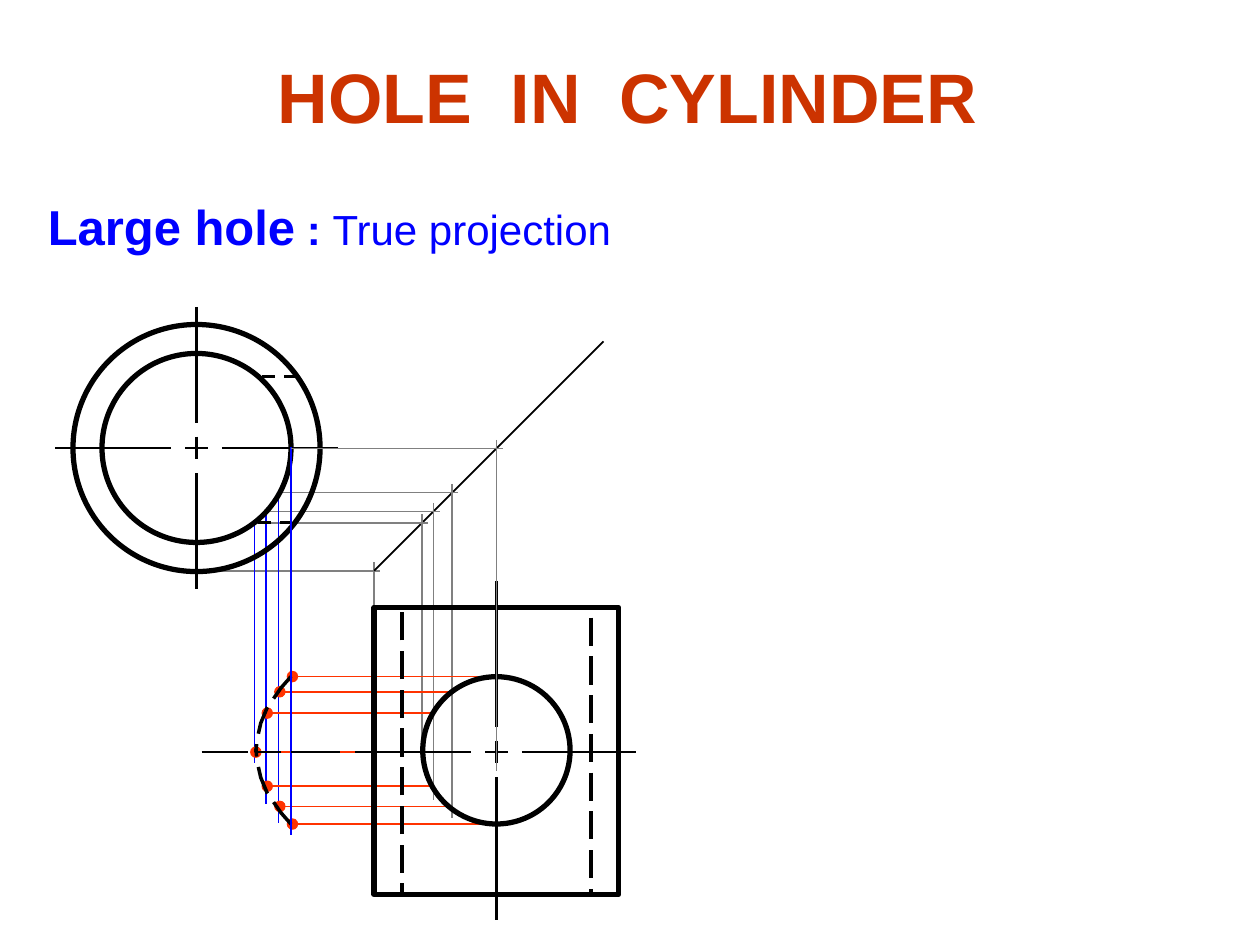
from lxml import etree
from pptx import Presentation
from pptx import util as u
from pptx.dml.color import RGBColor
from pptx.enum import dml, shapes, text
from pptx.oxml.ns import qn

Pt = u.Pt
COLORS = {"title": "CC3300", "note": "0000FF", "outline": "000000",
          "transfer": "808080", "drop": "0000FF", "level": "FF3300"}

TOP_X, TOP_Y = 112.3, 256
FRONT_X, FRONT_Y = 283.7, 428.8
AXIS_Y = 429.8
MITER_SUM = 540  # x + y along the 45 degree miter line

# x on the bore, y in the top view, drop start and end, transfer end, levels on the hole
POINTS = [
    (145.4, 298.8, 298.1, 436.3, 429.8, (429.8,)),
    (151.9, 292.3, 291.6, 459.4, 457.2, (407.5, 449.3)),
    (159.1, 281.5, 281.5, 470.2, 467.3, (395.3, 460.8)),
    (166.3, 256.3, 255.6, 477.4, 440.6, (386.6, 470.9)),
]
CURVE = [(166.3, 386.6), (160.6, 393.1), (152.6, 404.6),
         (149, 413.3), (146.9, 422.6), (146.2, 429.8)]


def rgb(name):
    return RGBColor.from_string(COLORS[name])


def style_line(line, color, width, dash=None):
    line.color.rgb = rgb(color)
    line.width = Pt(width)
    if dash:
        line.dash_style = dash


def add_line(slide, start, end, color="outline", width=1.5, dash=None):
    connector = slide.shapes.add_connector(
        shapes.MSO_CONNECTOR.STRAIGHT, *(Pt(v) for v in (*start, *end)))
    style_line(connector.line, color, width, dash)
    etree.SubElement(connector._element.spPr, qn("a:effectLst"))


def add_outline(slide, kind, box, width=3, dash=None):
    outline = slide.shapes.add_shape(kind, *(Pt(v) for v in box))
    outline.shadow.inherit = False
    outline.fill.background()
    style_line(outline.line, "outline", width, dash)
    return outline


def add_circle(slide, x, y, radius):
    return add_outline(slide, shapes.MSO_SHAPE.OVAL,
                       (x - radius, y - radius, 2 * radius, 2 * radius))


def add_dot(slide, x, y):
    dot = add_circle(slide, x, y, 2.9)
    dot.fill.solid()
    dot.fill.fore_color.rgb = rgb("level")
    style_line(dot.line, "level", 0.75)


def add_curve(slide, knots):
    start, *rest = [(Pt(x), Pt(y)) for x, y in knots]
    builder = slide.shapes.build_freeform(*start)
    builder.add_line_segments(rest, close=False)
    curve = builder.convert_to_shape()
    curve.shadow.inherit = False
    curve.fill.background()
    style_line(curve.line, "outline", 2, dml.MSO_LINE.LONG_DASH)


def add_run(paragraph, content, size, color, bold=True):
    run = paragraph.add_run()
    run.text = content
    run.font.name = "Arial"
    run.font.size = Pt(size)
    run.font.bold = bold
    run.font.color.rgb = rgb(color)


def add_center_mark(slide, x, y, left, right, up, down):
    """Crossed centre lines, each with a short middle dash."""
    for first, last in ((-left, -14.5), (-6.5, 6.5), (14.5, right)):
        add_line(slide, (x + first, y), (x + last, y))
    for first, last in ((-up, -14.5), (-6.5, 6.5), (14.5, down)):
        add_line(slide, (x, y + first), (x, y + last))


def add_transfer(slide, start_x, y, bottom):
    """Carry a level from the top view over the miter line to the front view."""
    x = MITER_SUM - y
    add_line(slide, (start_x, y), (x + 3.5, y), "transfer", 1)
    add_line(slide, (x, y - 5), (x, bottom), "transfer", 1)


def add_projection(slide, point):
    x, y, drop_top, drop_bottom, transfer_bottom, _ = point
    add_line(slide, (x, drop_top), (x, drop_bottom), "drop", 1)
    add_transfer(slide, x, y, transfer_bottom)


def add_levels(slide, point):
    x, y, *_, levels = point
    for level in levels:
        add_line(slide, (x, level), (MITER_SUM - y, level), "level", 1)
        add_dot(slide, x + 0.8, level)


def add_top_view(slide):
    for radius in (70.6, 54):
        add_circle(slide, TOP_X, TOP_Y, radius)
    for left, right, y in ((146.2, 169.2, 215.3), (145.4, 167, 298.8)):
        add_line(slide, (right, y), (left, y), width=1.75, dash=dml.MSO_LINE.DASH)
    add_center_mark(slide, TOP_X, TOP_Y, 80.6, 80.6, 80.6, 80.6)


def add_front_view(slide):
    rectangle = shapes.MSO_SHAPE.RECTANGLE
    add_outline(slide, rectangle, (213.8, 347, 139.7, 164.2))
    add_outline(slide, rectangle, (229.7, 347, 108, 164.2), 2, dml.MSO_LINE.LONG_DASH)
    add_circle(slide, FRONT_X, FRONT_Y, 42.1)
    add_center_mark(slide, FRONT_X, AXIS_Y, 80.6, 80, 97.9, 95.8)


def add_headings(slide):
    title = slide.shapes.title
    title.left, title.top, title.width, title.height = (
        Pt(v) for v in (20.9, 17.3, 675.4, 74.9))
    title.text_frame.vertical_anchor = text.MSO_ANCHOR.MIDDLE
    heading = title.text_frame.paragraphs[0]
    heading.alignment = text.PP_ALIGN.CENTER
    add_run(heading, "HOLE  IN  CYLINDER", 40, "title")

    note = slide.shapes.add_textbox(Pt(20.2), Pt(108.7), Pt(337), Pt(41))
    note.text_frame.word_wrap = False
    sentence = note.text_frame.paragraphs[0]
    add_run(sentence, "Large hole", 28, "note")
    add_run(sentence, " : ", 24, "note")
    add_run(sentence, "True projection", 24, "note", bold=False)


def main():
    deck = Presentation()
    deck.slide_width, deck.slide_height = Pt(720), Pt(540)
    slide = deck.slides.add_slide(deck.slide_layouts[5])
    add_headings(slide)

    add_transfer(slide, 110.9, 326.2, 346.3)
    add_line(slide, (213.8, 326.2), (344.9, 195.1), width=1)
    *hidden_points, bore_edge = POINTS
    for point in hidden_points:
        add_projection(slide, point)
    for point in POINTS:
        add_levels(slide, point)
    add_curve(slide, CURVE)
    add_curve(slide, [(x, 2 * FRONT_Y - y) for x, y in CURVE])

    add_top_view(slide)
    add_front_view(slide)
    add_projection(slide, bore_edge)
    for left, right in ((115.2, 141.8), (147.6, 160.6), (166.3, 194.4)):
        add_line(slide, (left, AXIS_Y), (right, AXIS_Y))
    deck.save("out.pptx")


if __name__ == "__main__":
    main()
